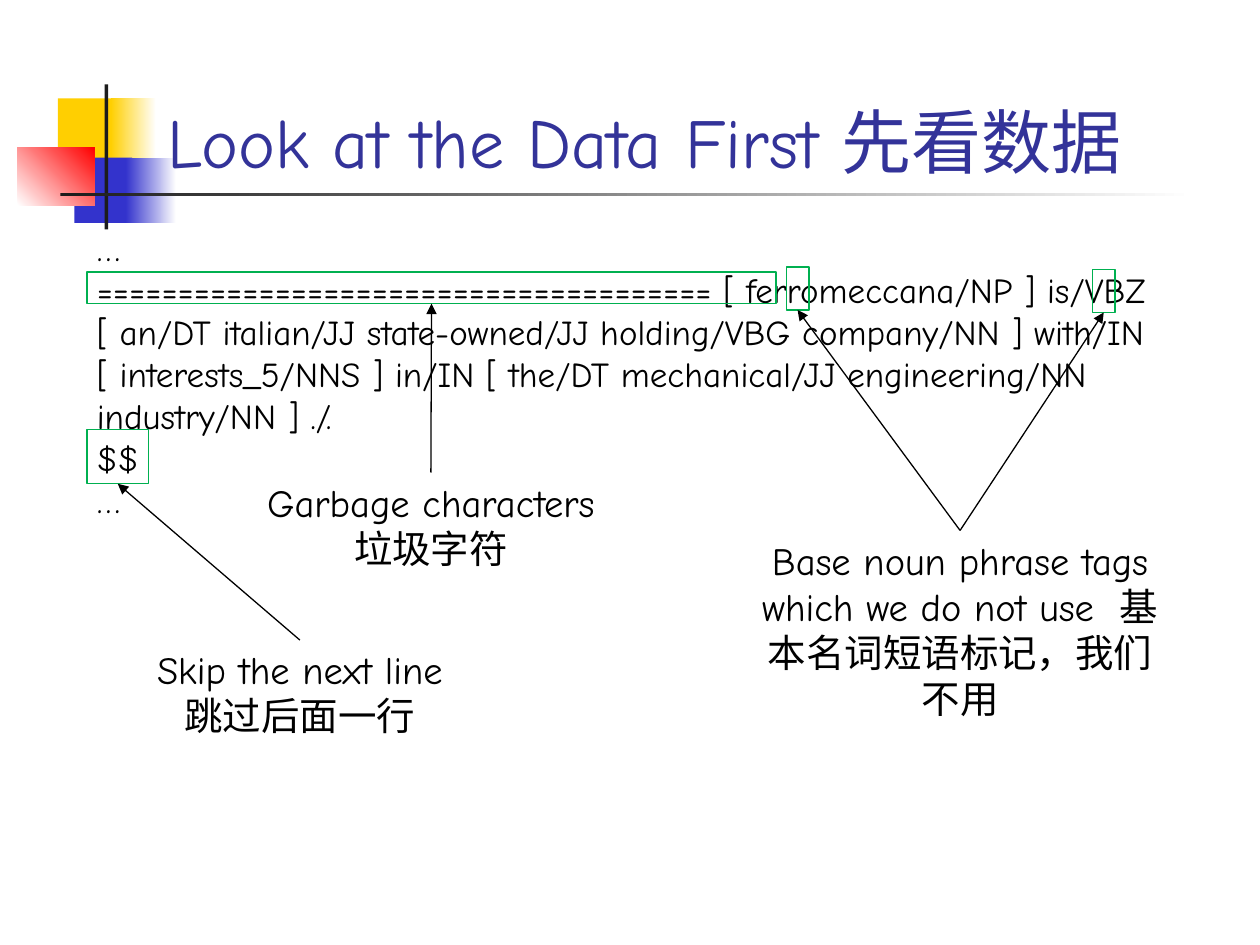
from dataclasses import dataclass

from lxml.etree import SubElement
from pptx import Presentation
from pptx.dml.color import RGBColor
from pptx.enum.shapes import MSO_CONNECTOR as Connector
from pptx.enum.shapes import MSO_SHAPE as Shape
from pptx.enum.text import MSO_ANCHOR as Anchor
from pptx.enum.text import MSO_AUTO_SIZE as AutoSize
from pptx.enum.text import PP_ALIGN as Align
from pptx.oxml.ns import qn
from pptx.util import Inches, Pt


@dataclass(frozen=True)
class Theme:
    font: str = "Comic Neue"
    title_size: int = 40
    body_size: int = 20
    label_size: int = 22
    line_width: float = 0.75
    title: str = "333399"
    text: str = "000000"
    marker: str = "00B050"
    yellow: str = "FFCF01"
    blue: str = "3333CC"
    red: str = "FF0000"
    dark: str = "1C1C1C"
    white: str = "FFFFFF"


THEME = Theme()
TOP, BOTTOM = 0, 2

SAMPLE = [
    "…",
    "=" * 38 + " [ ferromeccana/NP ] is/VBZ [ an/DT italian/JJ "
    "state-owned/JJ holding/VBG company/NN ] with/IN [ interests_5/NNS ] "
    "in/IN [ the/DT mechanical/JJ engineering/NN industry/NN ] ./.",
    "$$",
    "…",
]


def color(value):
    return RGBColor.from_string(value)


def add_box(page, left, top, width, height):
    box = page.shapes.add_shape(
        Shape.RECTANGLE, Inches(left), Inches(top), Inches(width), Inches(height)
    )
    box.shadow.inherit = False
    return box


def add_block(page, area, start, end=None, angle=0):
    block = add_box(page, *area)
    block.line.fill.background()
    if end is None:
        block.fill.solid()
        block.fill.fore_color.rgb = color(start)
        return
    block.fill.gradient()
    block.fill.gradient_angle = angle
    for stop, value in zip(block.fill.gradient_stops, (start, end)):
        stop.color.rgb = color(value)


def add_marker(page, *area):
    marker = add_box(page, *area)
    marker.fill.background()
    marker.line.color.rgb = color(THEME.marker)
    marker.line.width = Pt(THEME.line_width)
    return marker


def write(frame, lines, size, text_color, align=Align.LEFT):
    frame.word_wrap = True
    for index, line in enumerate(lines):
        para = frame.paragraphs[0] if index == 0 else frame.add_paragraph()
        para.text = line
        para.alignment = align
        para.font.name = THEME.font
        para.font.size = Pt(size)
        para.font.color.rgb = color(text_color)


def add_text(page, area, lines, size, align=Align.LEFT):
    box = page.shapes.add_textbox(*map(Inches, area))
    write(box.text_frame, lines, size, THEME.text, align)
    box.text_frame.auto_size = AutoSize.SHAPE_TO_FIT_TEXT
    return box


def add_arrow(page, label, marker):
    arrow = page.shapes.add_connector(Connector.STRAIGHT, 0, 0, 0, 0)
    arrow.begin_connect(label, TOP)
    arrow.end_connect(marker, BOTTOM)
    arrow.line.color.rgb = color(THEME.text)
    arrow.line.width = Pt(THEME.line_width)
    SubElement(arrow.line._get_or_add_ln(), qn("a:tailEnd"), type="triangle")
    SubElement(arrow._element.spPr, qn("a:effectLst"))


def add_callout(page, area, lines, markers):
    label = add_text(page, area, lines, THEME.label_size, Align.CENTER)
    for marker in markers:
        add_arrow(page, label, add_marker(page, *marker))


def add_decoration(page):
    add_block(page, (0.46, 0.78, 0.48, 0.52), THEME.yellow)
    add_block(page, (0.88, 0.78, 0.36, 0.52), THEME.yellow, THEME.white)
    add_block(page, (0.59, 1.25, 0.46, 0.52), THEME.blue)
    add_block(page, (1, 1.25, 0.4, 0.52), THEME.blue, THEME.white)
    add_block(page, (0.14, 1.17, 0.61, 0.46), THEME.white, THEME.red, 45)
    add_block(page, (0.83, 0.67, 0.03, 1.15), THEME.dark)
    add_block(page, (0.48, 1.53, 9, 0.03), THEME.dark, THEME.white)


def set_title(page, text):
    title = page.shapes.title
    title.left, title.top = Inches(1.23), Inches(0.5)
    title.width, title.height = Inches(8.52), Inches(1)
    write(title.text_frame, [text], THEME.title_size, THEME.title)
    title.text_frame.vertical_anchor = Anchor.BOTTOM
    title.text_frame.auto_size = AutoSize.NONE
    tree = page.shapes._spTree
    tree.remove(title._element)
    tree.append(title._element)


def main():
    deck = Presentation()
    deck.slide_width, deck.slide_height = Inches(10), Inches(7.5)
    page = deck.slides.add_slide(deck.slide_layouts[5])
    add_decoration(page)
    set_title(page, "Look at the Data First 先看数据")
    add_text(page, (0.67, 1.75, 8.67, 2.46), SAMPLE, THEME.body_size)
    add_callout(
        page,
        (1.67, 3.75, 3.5, 0.84),
        ["Garbage characters", "垃圾字符"],
        [(0.69, 2.16, 5.47, 0.25)],
    )
    add_callout(
        page,
        (5.87, 4.21, 3.5, 1.58),
        ["Base noun phrase tags which we do not use  基本名词短语标记，我们不用"],
        [(6.24, 2.12, 0.18, 0.34), (8.67, 2.14, 0.18, 0.34)],
    )
    add_callout(
        page,
        (0.63, 5.08, 3.5, 0.84),
        ["Skip the next line", "跳过后面一行"],
        [(0.69, 3.41, 0.49, 0.43)],
    )
    deck.save("out.pptx")


if __name__ == "__main__":
    main()
